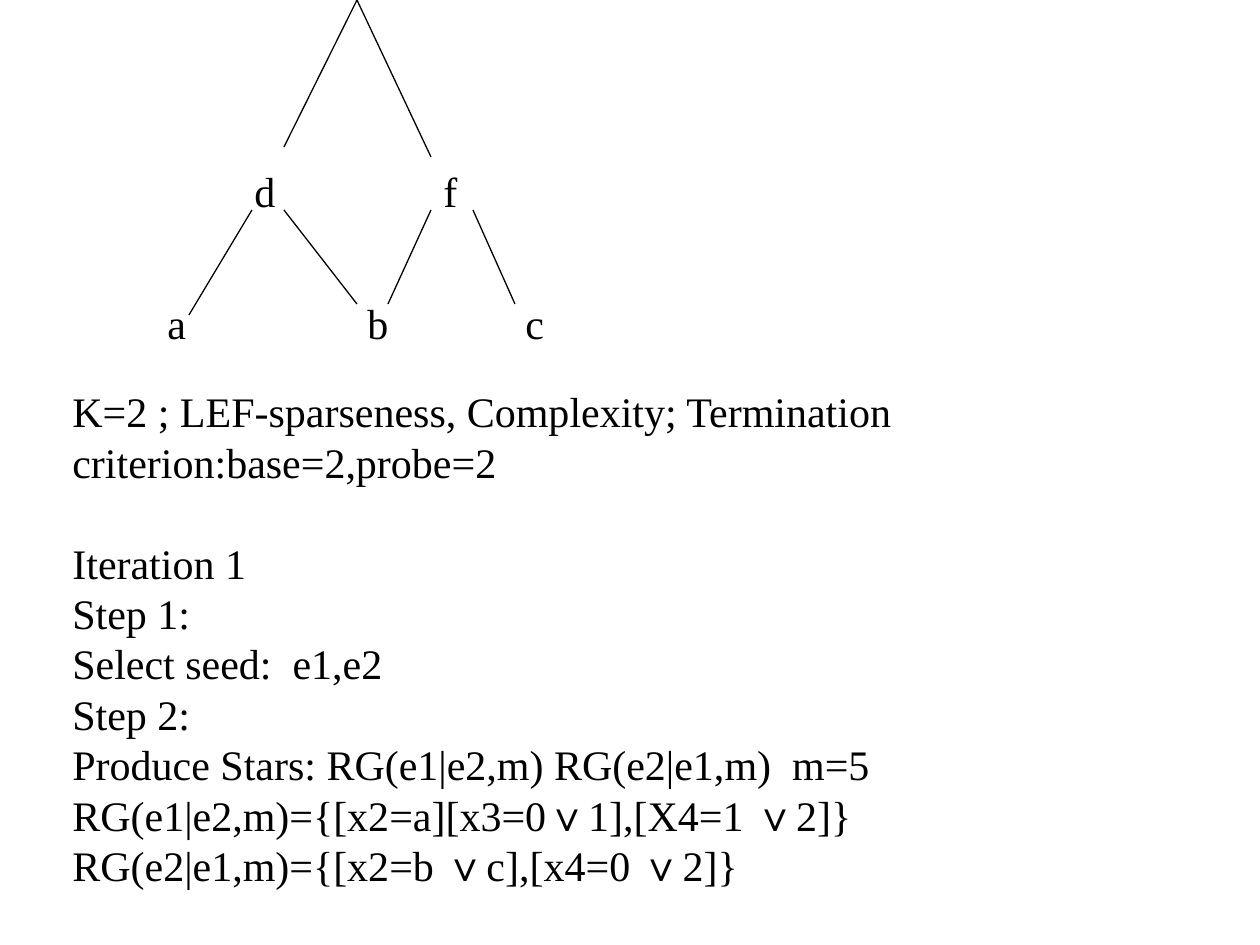
from pptx import Presentation
from pptx import util as u
from pptx.dml.color import RGBColor
from pptx.enum import shapes, text
from pptx.oxml.ns import qn
from lxml import etree
from dataclasses import dataclass

PX = 914400 // 126  # EMU per px


@dataclass(frozen=True)
class Theme:
    ink: RGBColor = RGBColor(0, 0, 0)
    font: str = "Times New Roman"
    size: float = 24
    pitch: float = 28.8
    line: float = 0.75


theme = Theme()

# Content: node label -> left, top, width
NODE_HEIGHT = 63
NODES = {
    "d": (242, 158, 45),
    "f": (431, 158, 39),
    "a": (155, 290, 44),
    "b": (355, 290, 45),
    "c": (513, 290, 44),
}
# Branches: start x, y, end x, y
BRANCHES = [
    (252, 210, 189, 315),
    (284, 210, 357, 304),
    (431, 210, 388, 304),
    (473, 210, 515, 304),
    (357, 0, 284, 147),
    (357, 0, 431, 157),
]
INTRO = ["K=2 ; LEF-sparseness, Complexity; Termination criterion:base=2,probe=2"]
STEPS = [
    "Iteration 1",
    "Step 1:",
    "Select seed:  e1,e2",
    "Step 2:",
    "Produce Stars: RG(e1|e2,m) RG(e2|e1,m)  m=5",
    "RG(e1|e2,m)={[x2=a][x3=0∨1],[X4=1 ∨2]}",
    "RG(e2|e1,m)={[x2=b ∨c],[x4=0 ∨2]}",
]
EXPLANATION_AREA = (60, 378, 1147, 517)


def add_text(page, groups, area, wrap=True):
    """Write groups of paragraphs, one line of space between groups."""
    box = page.shapes.add_textbox(*(v * PX for v in area))
    frame = box.text_frame
    frame.word_wrap = wrap
    frame.auto_size = text.MSO_AUTO_SIZE.NONE
    frame.margin_top = 8 * PX
    para = frame.paragraphs[0]
    for g, group in enumerate(groups):
        for i, words in enumerate(group):
            if g or i:
                para = frame.add_paragraph()
            if g and not i:
                para.space_before = u.Pt(theme.pitch)
            para.line_spacing = u.Pt(theme.pitch)
            span = para.add_run()
            span.text = words
            span.font.name = theme.font
            span.font.size = u.Pt(theme.size)
            span.font.color.rgb = theme.ink


def add_branch(page, ends):
    branch = page.shapes.add_connector(
        shapes.MSO_CONNECTOR.STRAIGHT, *(v * PX for v in ends))
    branch.line.color.rgb = theme.ink
    branch.line.width = u.Pt(theme.line)
    etree.SubElement(branch._element.spPr, qn("a:effectLst"))


def main():
    deck = Presentation()
    deck.slide_width, deck.slide_height = u.Inches(10), u.Inches(7.5)
    page = deck.slides.add_slide(deck.slide_layouts[6])

    # Tree
    for label, (left, top, width) in NODES.items():
        add_text(page, [[label]], (left, top, width, NODE_HEIGHT), wrap=False)
    for ends in BRANCHES:
        add_branch(page, ends)

    # Explanation
    add_text(page, [INTRO, STEPS], EXPLANATION_AREA)
    deck.save("out.pptx")


if __name__ == "__main__":
    main()
